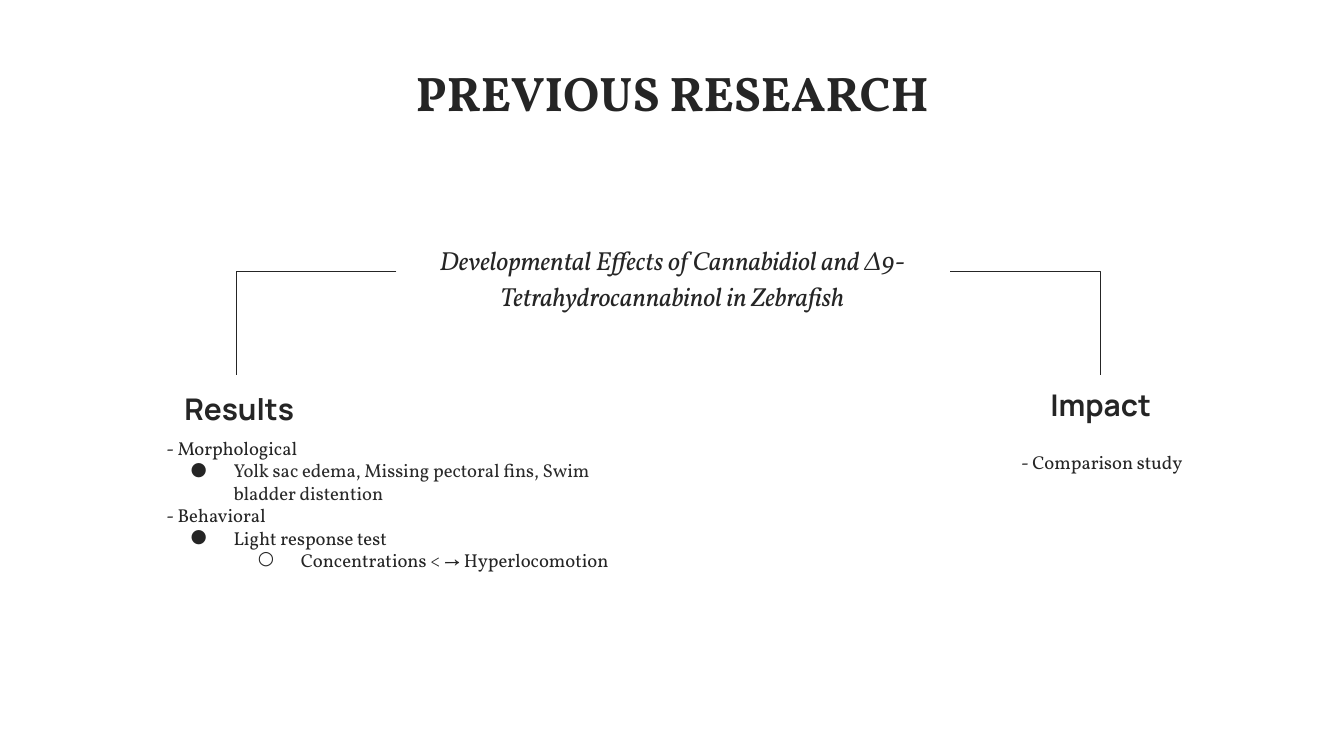
from lxml import etree
from pptx import Presentation
from pptx.dml.color import RGBColor
from pptx.enum.text import MSO_ANCHOR as Anchor, PP_ALIGN as Align
from pptx.oxml.ns import qn
from pptx.util import Inches, Pt

INK = RGBColor(0x25, 0x25, 0x25)
GREY = RGBColor(0x2A, 0x2A, 0x2A)
WHITE = RGBColor(0xFF, 0xFF, 0xFF)
SERIF, SANS = "Vollkorn", "Manrope"
MARKS = ["", "●", "○"]


def add_box(slide, box, anchor=Anchor.TOP):
    frame = slide.shapes.add_textbox(*map(Inches, box)).text_frame
    frame.word_wrap = True
    frame.vertical_anchor = anchor
    frame.margin_left = frame.margin_right = Inches(0.1)
    frame.margin_top = frame.margin_bottom = Inches(0.1)
    return frame


def add_run(para, text, size, face=SERIF, color=INK, bold=False, italic=False):
    run = para.add_run()
    run.text = text
    font = run.font
    font.name, font.size = face, Pt(size)
    font.bold, font.italic = bold, italic
    font.color.rgb = color


def add_head(slide, box, text, size, **style):
    """Centred line that sits on the bottom of its box."""
    para = add_box(slide, box, Anchor.BOTTOM).paragraphs[0]
    para.alignment = Align.CENTER
    add_run(para, text, size, **style)
    return para


def set_mark(para, level):
    para.level = level - 1
    props = para._p.get_or_add_pPr()
    props.set("marL", str(Inches(0.5 * level)))
    props.set("indent", str(Inches(-0.32)))
    tint = etree.SubElement(props, qn("a:buClr"))
    etree.SubElement(tint, qn("a:srgbClr")).set("val", str(INK))
    etree.SubElement(props, qn("a:buFont")).set("typeface", SERIF)
    etree.SubElement(props, qn("a:buChar")).set("char", MARKS[level])


def add_list(slide, box, items):
    """Rows of (level, text, colour); level 0 has no bullet."""
    frame = add_box(slide, box)
    for i, (level, text, color) in enumerate(items):
        para = frame.add_paragraph() if i else frame.paragraphs[0]
        if level:
            set_mark(para, level)
        add_run(para, text, 10, color=color)


def add_elbow(slide, start, end):
    """Line that runs level from start, then drops to end."""
    (x, y), (side, foot) = map(Inches, start), map(Inches, end)
    pen = slide.shapes.build_freeform(x, y)
    pen.add_line_segments([(side, y), (side, foot)], close=False)
    elbow = pen.convert_to_shape()
    elbow.shadow.inherit = False
    elbow.fill.background()
    elbow.line.color.rgb = INK
    elbow.line.width = Pt(0.75)


def add_topic(slide, box):
    """Study title with an elbow line out to each side."""
    left, top, wide, high = box
    para = add_head(
        slide, box,
        "Developmental Effects of Cannabidiol and Δ9-Tetrahydrocannabinol in Zebrafish",
        14, italic=True)
    para.line_spacing = 1.15
    para.space_after = Pt(6)
    bar, foot = top + 0.45, top + 1.22
    add_elbow(slide, (left + 0.31, bar), (left - 0.88, foot))
    add_elbow(slide, (left + wide - 0.3, bar), (left + wide + 0.82, foot))


def add_results(slide, left, top):
    add_list(slide, (left + 0.21, top + 0.3, 3.63, 1.77), [
        (0, "- Morphological", INK),
        (1, "Yolk sac edema, Missing pectoral fins, Swim bladder distention", GREY),
        (0, "- Behavioral", INK),
        (1, "Light response test", INK),
        (2, "Concentrations < → Hyperlocomotion", INK),
    ])
    add_head(slide, (left, top, 1.7, 0.42), "Results", 16, face=SANS, bold=True)


def add_impact(slide, left, top):
    add_list(slide, (left + 0.74, top + 0.45, 1.59, 0.42),
             [(0, "- Comparison study", INK)])
    add_head(slide, (left, top, 2.86, 0.42), "Impact", 16, face=SANS, bold=True)


def main():
    deck = Presentation()
    # Widescreen, 16 to 9
    deck.slide_width = Inches(10)
    deck.slide_height = deck.slide_width * 9 // 16
    slide = deck.slides.add_slide(deck.slide_layouts[6])
    slide.background.fill.solid()
    slide.background.fill.fore_color.rgb = WHITE

    # Title
    add_head(slide, (2.39, 0.3, 5.23, 0.7), "PREVIOUS RESEARCH", 26, bold=True)
    # Study and its two branches
    add_topic(slide, (2.64, 1.57, 4.73, 0.85))
    add_results(slide, 0.93, 2.85)
    add_impact(slide, 6.76, 2.82)

    deck.save("out.pptx")


if __name__ == "__main__":
    main()
